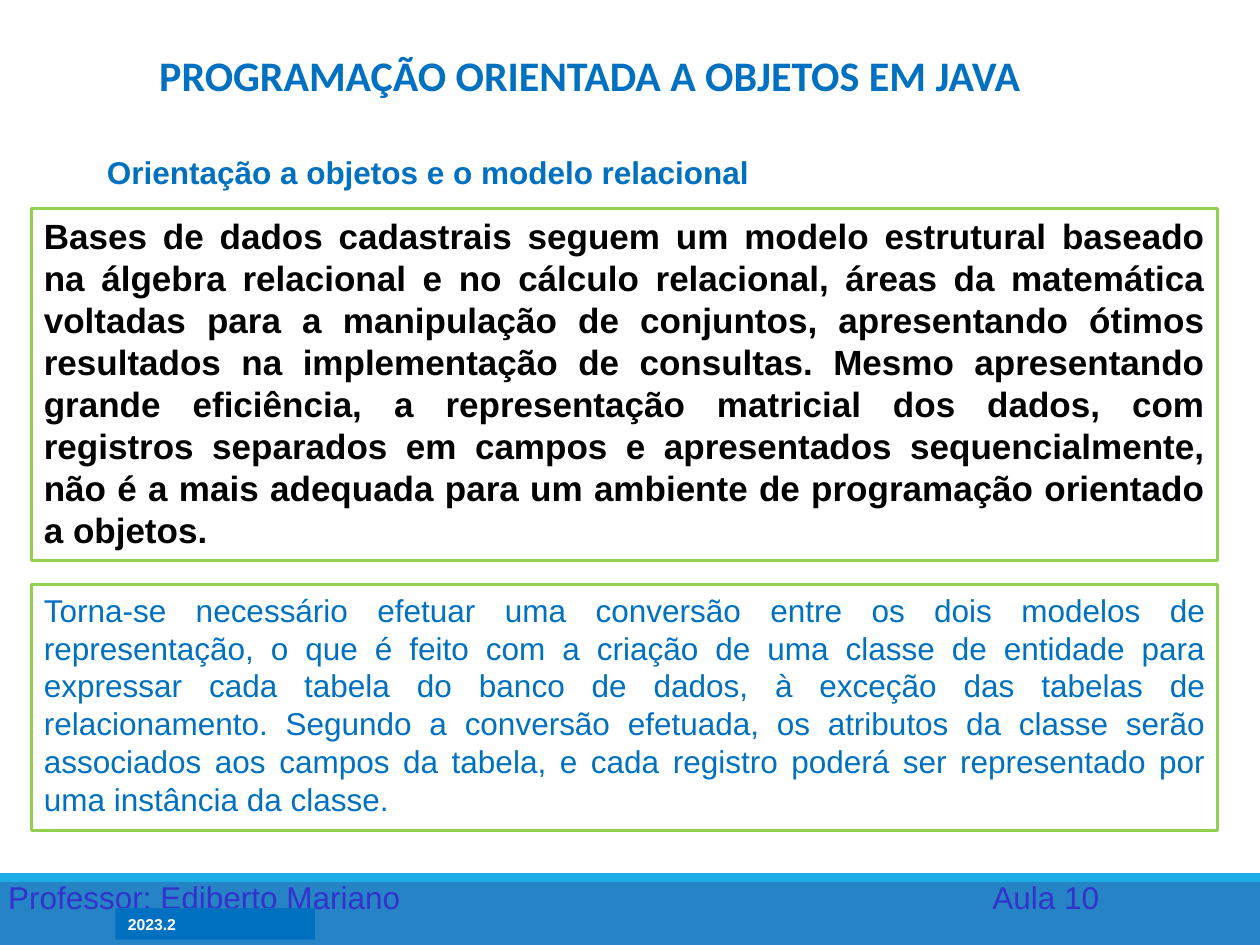
from dataclasses import dataclass

from pptx import Presentation
from pptx import util as u
from pptx.dml.color import RGBColor
from pptx.enum import shapes, text


@dataclass(frozen=True)
class Theme:
    white: str = "FFFFFF"
    black: str = "000000"
    blue: str = "0070C0"
    band: str = "2683C6"
    stripe: str = "1CADE4"
    green: str = "92D050"
    violet: str = "3333CC"
    title_font: str = "Calibri"
    body_font: str = "Arial"
    title_size: int = 24
    lead_size: int = 20
    body_size: int = 18
    small_size: int = 9
    leading: float = 1.2


class SlideBuilder:
    def __init__(self, slide, theme):
        self.slide = slide
        self.theme = theme

    def set_text(self, shape, words, size, color, bold=False, font=None,
                 align=text.PP_ALIGN.LEFT, anchor=text.MSO_ANCHOR.TOP):
        frame = shape.text_frame
        frame.word_wrap = True
        frame.auto_size = text.MSO_AUTO_SIZE.NONE
        frame.vertical_anchor = anchor
        frame.margin_left = frame.margin_right = u.Pt(7.2)
        frame.margin_top = frame.margin_bottom = u.Pt(3.6)
        paragraph = frame.paragraphs[0]
        paragraph.text = words
        paragraph.alignment = align
        paragraph.font.name = font or self.theme.body_font
        paragraph.font.size = u.Pt(size)
        paragraph.font.bold = bold
        paragraph.font.color.rgb = RGBColor.from_string(color)
        return paragraph

    def title(self, words, left, top, width, height):
        title = self.slide.shapes.title
        title.left, title.top = u.Pt(left), u.Pt(top)
        title.width, title.height = u.Pt(width), u.Pt(height)
        self.set_text(title, words, self.theme.title_size, self.theme.blue, True,
                      self.theme.title_font, text.PP_ALIGN.CENTER,
                      text.MSO_ANCHOR.BOTTOM)

    def panel(self, left, top, width, height, fill, line=None, line_width=1.75):
        panel = self.slide.shapes.add_shape(
            shapes.MSO_SHAPE.RECTANGLE,
            u.Pt(left), u.Pt(top), u.Pt(width), u.Pt(height))
        panel.shadow.inherit = False
        panel.fill.solid()
        panel.fill.fore_color.rgb = RGBColor.from_string(fill)
        if line:
            panel.line.color.rgb = RGBColor.from_string(line)
            panel.line.width = u.Pt(line_width)
        else:
            panel.line.fill.background()
        return panel

    def passage(self, words, top, height, size, color, bold=False):
        panel = self.panel(18, top, 678, height, self.theme.white, self.theme.green)
        paragraph = self.set_text(panel, words, size, color, bold,
                                  align=text.PP_ALIGN.JUSTIFY)
        paragraph.line_spacing = u.Pt(size * self.theme.leading)

    def label(self, words, left, top, width, height):
        label = self.slide.shapes.add_textbox(
            u.Pt(left), u.Pt(top), u.Pt(width), u.Pt(height))
        self.set_text(label, words, self.theme.body_size, self.theme.violet)


def main():
    theme = Theme()
    deck = Presentation()
    deck.slide_width, deck.slide_height = u.Pt(720), u.Pt(540)
    page = SlideBuilder(deck.slides.add_slide(deck.slide_layouts[5]), theme)

    # Footer
    page.panel(0, 499, 720, 41, theme.band)
    page.panel(0, 499, 720, 5, theme.stripe)
    page.label("Professor: Ediberto Mariano", -2.4, 498.4, 300, 29)
    page.label("Aula 10", 560, 498.4, 90, 29)
    term = page.panel(66, 519, 114, 18, theme.blue)
    page.set_text(term, "2023.2", theme.small_size, theme.white, True)

    # Title and topic
    page.title("PROGRAMAÇÃO ORIENTADA A OBJETOS EM JAVA", 74.5, 23, 525, 37.5)
    topic = page.panel(54, 84, 624, 29.5, theme.white)
    page.set_text(topic, "Orientação a objetos e o modelo relacional",
                  theme.body_size, theme.blue, True)

    # Passages
    page.passage(
        "Bases de dados cadastrais seguem um modelo estrutural baseado na "
        "álgebra relacional e no cálculo relacional, áreas da matemática "
        "voltadas para a manipulação de conjuntos, apresentando ótimos "
        "resultados na implementação de consultas. Mesmo apresentando grande "
        "eficiência, a representação matricial dos dados, com registros "
        "separados em campos e apresentados sequencialmente, não é a mais "
        "adequada para um ambiente de programação orientado a objetos.",
        119.2, 201.2, theme.lead_size, theme.black, True)
    page.passage(
        "Torna-se necessário efetuar uma conversão entre os dois modelos de "
        "representação, o que é feito com a criação de uma classe de entidade "
        "para expressar cada tabela do banco de dados, à exceção das tabelas "
        "de relacionamento. Segundo a conversão efetuada, os atributos da "
        "classe serão associados aos campos da tabela, e cada registro poderá "
        "ser representado por uma instância da classe.",
        334, 140.5, theme.body_size, theme.blue)

    deck.save("out.pptx")


if __name__ == "__main__":
    main()
